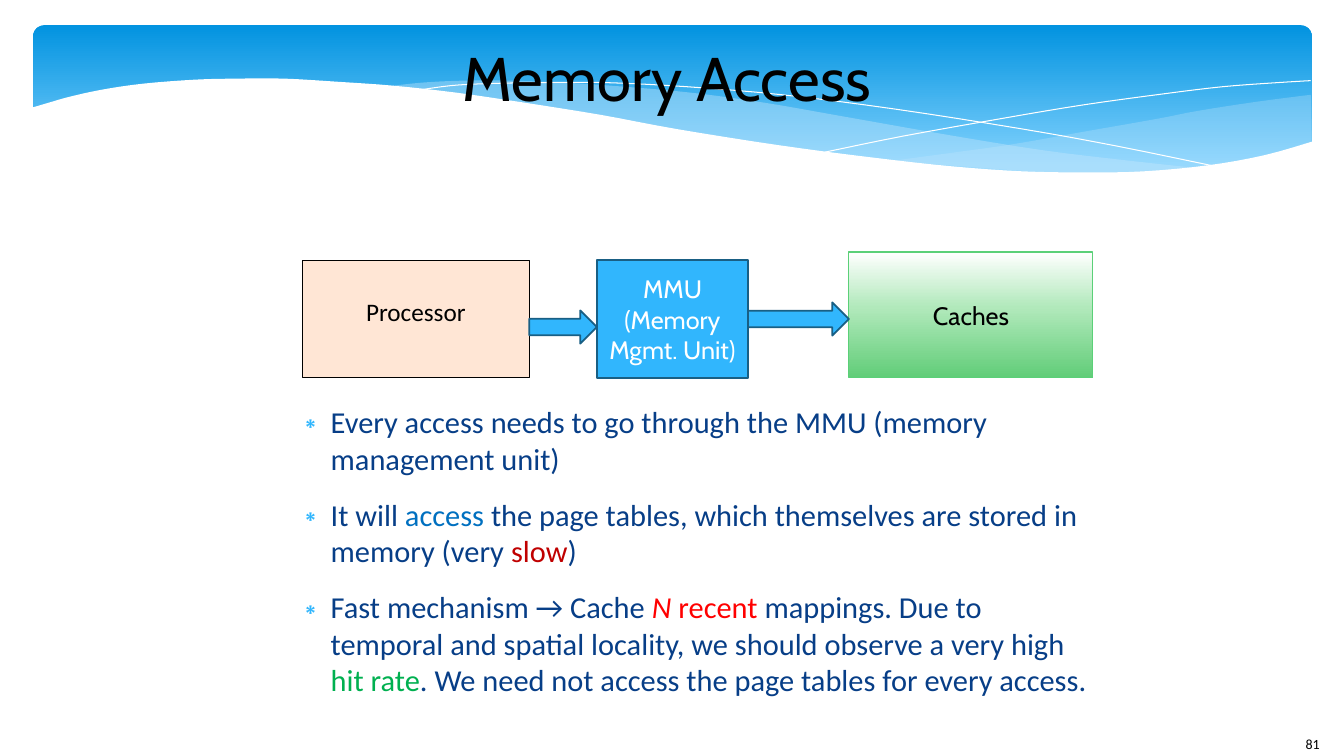
from copy import deepcopy
from dataclasses import dataclass

from lxml import etree
from pptx import Presentation
from pptx import util as u
from pptx.dml.color import RGBColor
from pptx.enum import shapes, text
from pptx.oxml import ns


@dataclass(frozen=True)
class Theme:
    """Colours, fonts and type sizes of the slide."""
    black: str = "000000"
    white: str = "FFFFFF"
    sky: str = "31B6FD"
    edge: str = "195F84"
    mist: str = "C6E7FC"
    peach: str = "FFE6D5"
    leaf: str = "5BD078"
    navy: str = "073E87"
    blue: str = "0070C0"
    crimson: str = "C00000"
    red: str = "FF0000"
    green: str = "00B050"
    banner: tuple = ((0, "0293E0"), (0.9, "83D3FE"))
    caches: tuple = ((0, "FFFFFF"), (0.44, "B1E9BB"), (1, "61CD78"))
    heading: str = "Cabin"
    plain: str = "Calibri"
    title: float = 44
    label: float = 18
    body: float = 21.7
    number: float = 10


@dataclass(frozen=True)
class Box:
    """A rectangle measured in inches."""
    left: float
    top: float
    width: float
    height: float

    def within(self, left, top, width, height):
        """Return a box placed relative to this one."""
        return Box(self.left + left, self.top + top, width, height)

    def lengths(self):
        """Return the four measures as slide lengths."""
        return [u.Inches(v) for v in (self.left, self.top, self.width, self.height)]


THEME = Theme()
WAVE = [(12.7, 1.15), (12.21, 1.29), (11.65, 1.39), (11.01, 1.45), (10.45, 1.46),
        (9.82, 1.45), (9.11, 1.4), (8.3, 1.31), (7.39, 1.19), (6.38, 1.03),
        (5.63, 0.89), (4.88, 0.77), (4.2, 0.67), (3.57, 0.6), (3, 0.56),
        (2.49, 0.53), (2.02, 0.53), (1.61, 0.54), (1.09, 0.58), (0.68, 0.64),
        (0.36, 0.71), (0.15, 0.77), (-0.02, 0.82)]
WAVE_FOOT = [(-0.02, 1.99), (12.7, 1.99)]
RIGHT_TOP = [(12.67, 0.69), (12.13, 0.76), (11.55, 0.85), (11.14, 0.93),
             (10.4, 1.06), (9.72, 1.18), (9.08, 1.27), (8.49, 1.35)]
RIGHT_FOOT = [(8.49, 1.35), (9.07, 1.39), (9.6, 1.43), (10.08, 1.46), (10.52, 1.47),
              (10.93, 1.46), (11.3, 1.44), (11.74, 1.38), (12.14, 1.31), (12.68, 1.17)]
BAND_TOP = [(11.57, 1.42), (10.83, 1.34), (10.01, 1.24), (9.08, 1.09), (8.06, 0.91),
            (7.26, 0.77), (6.53, 0.67), (5.86, 0.61), (5.27, 0.57), (4.73, 0.55),
            (4.26, 0.55), (3.85, 0.57), (3.49, 0.61)]
BAND_FOOT = [(3.49, 0.61), (4.23, 0.69), (5.06, 0.81), (5.66, 0.91), (6.73, 1.1),
             (7.69, 1.25), (8.54, 1.36), (9.3, 1.43), (9.97, 1.47), (10.57, 1.48),
             (11.1, 1.46), (11.57, 1.42)]
FALLING_LINE = [(3.79, 0.65), (4.14, 0.6), (4.51, 0.58), (5.02, 0.57), (5.67, 0.57),
                (6.47, 0.61), (7.42, 0.69), (8.53, 0.83), (9.81, 1.03), (10.75, 1.2),
                (11.77, 1.41)]
RISING_LINE = [(7.85, 1.26), (8.63, 1.1), (9.64, 0.92), (10.42, 0.79), (11.22, 0.68),
               (11.8, 0.61), (12.34, 0.57), (12.67, 0.55)]
BULLETS = [
    [("Every access needs to go through the MMU (memory management unit)", THEME.navy)],
    [("It will ", THEME.navy), ("access ", THEME.blue),
     ("the page tables, which themselves are stored in memory (very ", THEME.navy),
     ("slow", THEME.crimson), (")", THEME.navy)],
    [("Fast mechanism → Cache ", THEME.navy), ("N", THEME.red), (" recent ", THEME.red),
     ("mappings. Due to temporal and spatial locality, we should observe a very high ",
      THEME.navy), ("hit rate", THEME.green),
     (". We need not access the page tables for every access.", THEME.navy)],
]


def smooth(points, steps=4):
    """Return a Catmull-Rom curve through the points."""
    padded = [points[0], *points, points[-1]]
    curve = [points[0]]
    for a, b, c, d in zip(padded, padded[1:], padded[2:], padded[3:]):
        for step in range(1, steps + 1):
            t = step / steps
            curve.append(tuple(
                (2 * q + (r - p) * t + (2 * p - 5 * q + 4 * r - s) * t ** 2
                 + (3 * q - p - 3 * r + s) * t ** 3) / 2
                for p, q, r, s in zip(a, b, c, d)))
    return curve


def paint(shape, fill=None, line=None, width=0.0):
    """Set a colour or gradient fill and an outline, without a shadow."""
    shape.shadow.inherit = False
    if fill is None:
        shape.fill.background()
    elif isinstance(fill, str):
        shape.fill.solid()
        shape.fill.fore_color.rgb = RGBColor.from_string(fill)
    else:
        shape.fill.gradient()
        shape.fill.gradient_angle = 270
        stops = shape._element.spPr.find(".//" + ns.qn("a:gsLst"))
        for _ in fill[2:]:
            stops.insert(1, deepcopy(stops[0]))
        for stop, (position, colour) in zip(shape.fill.gradient_stops, fill):
            stop.position = position
            stop.color.rgb = RGBColor.from_string(colour)
    if line is None:
        shape.line.fill.background()
    else:
        shape.line.color.rgb = RGBColor.from_string(line)
        shape.line.width = u.Pt(width)


def style(span, font, size, colour):
    """Set the font, size and colour of a run."""
    span.font.name = font
    span.font.size = u.Pt(size)
    span.font.color.rgb = RGBColor.from_string(colour)


def write(shape, words, font, size, colour, align, anchor=text.MSO_ANCHOR.MIDDLE):
    """Put one formatted paragraph in a shape."""
    frame = shape.text_frame
    frame.text = words
    frame.word_wrap = True
    frame.vertical_anchor = anchor
    frame.paragraphs[0].alignment = align
    style(frame.paragraphs[0].runs[0], font, size, colour)


def place(page, holder, box):
    """Move a placeholder to the front and into its box, without margins."""
    page.shapes._spTree.append(holder._element)
    holder.left, holder.top, holder.width, holder.height = box.lengths()
    frame = holder.text_frame
    frame.auto_size = text.MSO_AUTO_SIZE.NONE
    frame.margin_left = frame.margin_right = frame.margin_top = frame.margin_bottom = 0


def add_outline(page, box, points, closed=True):
    """Draw an outline whose points are offsets from the box corner."""
    corners = [(u.Inches(x), u.Inches(y)) for x, y in points]
    builder = page.shapes.build_freeform(*corners[0])
    builder.add_line_segments(corners[1:], close=closed)
    return builder.convert_to_shape(u.Inches(box.left), u.Inches(box.top))


def add_banner(page, box):
    """Draw the blue banner with its waves."""
    panel = page.shapes.add_shape(shapes.MSO_SHAPE.ROUNDED_RECTANGLE, *box.lengths())
    panel.adjustments[0] = 0.07
    paint(panel, THEME.banner)
    for top, foot, alpha in ((RIGHT_TOP, RIGHT_FOOT, 29), (BAND_TOP, BAND_FOOT, 40)):
        band = add_outline(page, box, smooth(top) + smooth(foot))
        paint(band, THEME.mist)
        colour = band._element.spPr.find(".//" + ns.qn("a:srgbClr"))
        etree.SubElement(colour, ns.qn("a:alpha"), val=str(alpha * 1000))
    for points in (FALLING_LINE, RISING_LINE):
        paint(add_outline(page, box, smooth(points), False), line=THEME.white)
    paint(add_outline(page, box, smooth(WAVE) + WAVE_FOOT), THEME.white)


def add_title(page, box):
    """Fill the title placeholder."""
    place(page, page.shapes.title, box)
    write(page.shapes.title, "Memory Access", THEME.heading, THEME.title, THEME.black,
          text.PP_ALIGN.CENTER)


def add_diagram(page, box):
    """Draw the three units and the block arrows between them."""
    units = [
        ("Processor", (0, 0.08, 2.25, 1.17), THEME.peach, THEME.black, 0,
         THEME.plain, THEME.black),
        ("MMU (Memory Mgmt. Unit)", (2.92, 0.08, 1.5, 1.17), THEME.sky, THEME.edge, 1.25,
         THEME.heading, THEME.white),
        ("Caches", (5.42, 0, 2.42, 1.25), THEME.caches, THEME.leaf, 0.75,
         THEME.heading, THEME.black),
    ]
    blocks = []
    for words, spot, fill, line, width, font, colour in units:
        block = page.shapes.add_shape(shapes.MSO_SHAPE.RECTANGLE, *box.within(*spot).lengths())
        paint(block, fill, line, width)
        write(block, words, font, THEME.label, colour, text.PP_ALIGN.CENTER)
        blocks.append(block)
    blocks[0].text_frame.margin_bottom = u.Inches(0.19)
    for source, target, drop in zip(blocks, blocks[1:], (0.58, 0.5)):
        start = source.left + source.width
        arrow = page.shapes.add_shape(
            shapes.MSO_SHAPE.RIGHT_ARROW, start, u.Inches(box.top + drop),
            target.left - start, u.Inches(0.33))
        paint(arrow, THEME.sky, THEME.edge, 1.25)


def add_bullets(page, box):
    """Fill the body placeholder with the bulleted points."""
    body = page.placeholders[1]
    place(page, body, box)
    frame = body.text_frame
    frame.vertical_anchor = text.MSO_ANCHOR.TOP
    for index, spans in enumerate(BULLETS):
        para = frame.add_paragraph() if index else frame.paragraphs[0]
        para.space_before, para.space_after = u.Pt(0), u.Pt(14.1)
        props = para._p.get_or_add_pPr()
        props.set("marL", str(u.Inches(0.47)))
        props.set("indent", str(u.Inches(-0.35)))
        tint = etree.SubElement(props, ns.qn("a:buClr"))
        etree.SubElement(tint, ns.qn("a:srgbClr"), val=THEME.sky)
        etree.SubElement(props, ns.qn("a:buChar"), char="∗")
        for words, colour in spans:
            span = para.add_run()
            span.text = words
            style(span, THEME.plain, THEME.body, colour)
            span.font.italic = words == "N"


def add_number(page, box):
    """Write the page number."""
    label = page.shapes.add_textbox(*box.lengths())
    write(label, "81", THEME.plain, THEME.number, THEME.black, text.PP_ALIGN.LEFT,
          text.MSO_ANCHOR.TOP)


def main():
    """Build the slide and save it."""
    deck = Presentation()
    deck.slide_width, deck.slide_height = u.Inches(13.33), u.Inches(7.5)
    page = deck.slides.add_slide(deck.slide_layouts[1])
    add_banner(page, Box(0.33, 0.25, 12.68, 1.56))
    add_title(page, Box(2.56, 0.25, 8.11, 1.02))
    add_diagram(page, Box(3, 2.5, 7.84, 1.25))
    add_bullets(page, Box(2.81, 4, 8.11, 2.64))
    add_number(page, Box(12.85, 7.25, 0.48, 0.25))
    deck.save("out.pptx")


if __name__ == "__main__":
    main()
